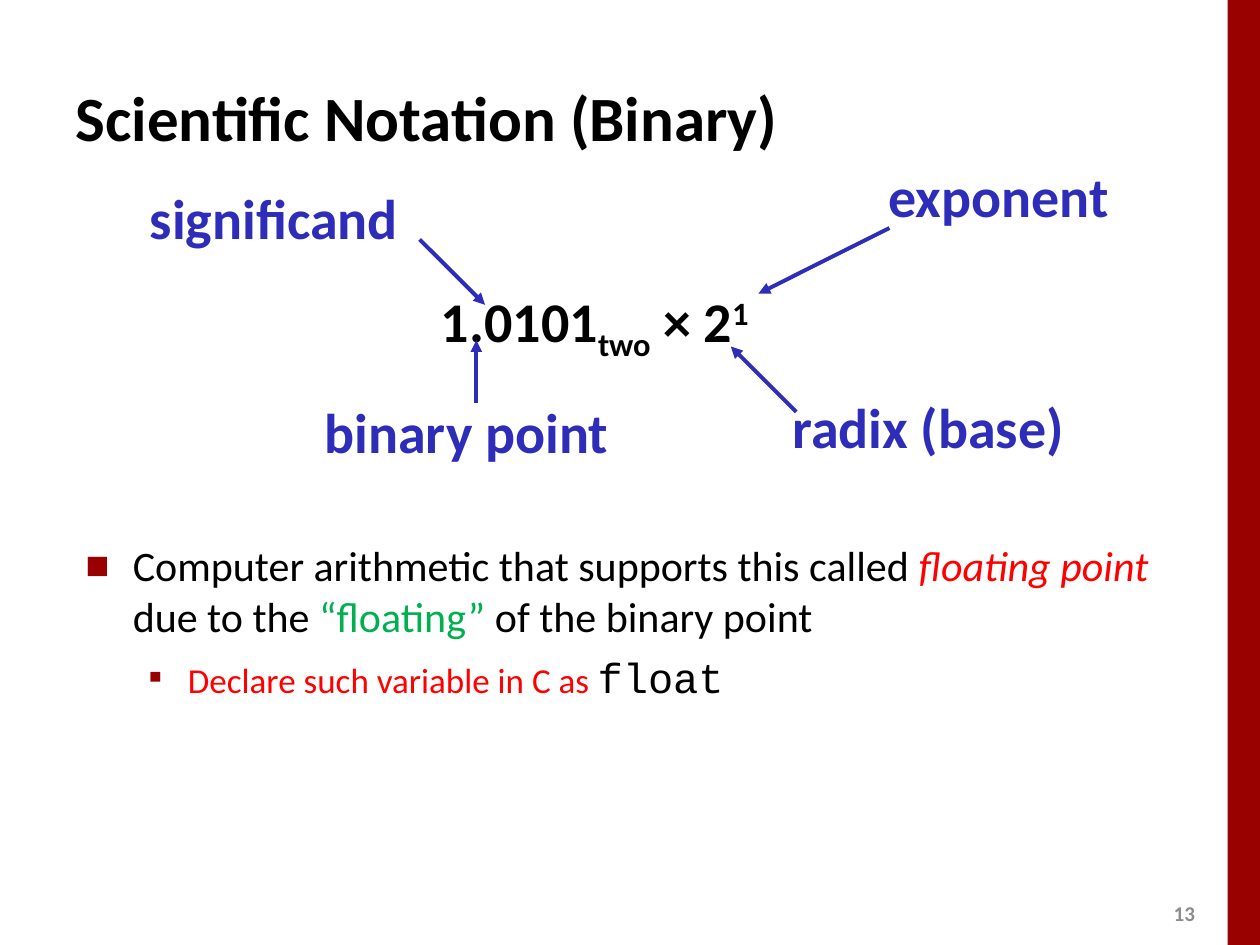
"""Build the slide on binary scientific notation."""
from pptx import Presentation
from pptx.dml.color import RGBColor
from pptx.enum.shapes import MSO_CONNECTOR, MSO_SHAPE
from pptx.enum.text import MSO_ANCHOR, PP_ALIGN
from pptx.oxml.ns import qn
from pptx.util import Pt
from lxml.etree import SubElement

BLACK, RED, GREEN = "000000", "FF0000", "00B050"
BLUE, DARK_RED, GRAY = "2D2DB9", "990000", "8C8C8C"


def rgb(value):
    return RGBColor.from_string(value)


def add_text(paragraph, text, size=24, color=BLACK, font="Calibri", bold=False, italic=False, baseline=0):
    run = paragraph.add_run()
    run.text = text
    run.font.size = Pt(size)
    run.font.name = font
    run.font.bold = bold
    run.font.italic = italic
    run.font.color.rgb = rgb(color)
    if baseline:
        run.font._element.set("baseline", str(baseline * 1000))


class SlideBuilder:
    def __init__(self, presentation):
        self.slide = presentation.slides.add_slide(presentation.slide_layouts[5])
        self.accent = BLUE
        self.label_size = 32

    def title(self, text, left, top, width, height):
        shape = self.slide.shapes.title
        shape.left, shape.top, shape.width, shape.height = map(Pt, (left, top, width, height))
        shape.text_frame.vertical_anchor = MSO_ANCHOR.MIDDLE
        paragraph = shape.text_frame.paragraphs[0]
        paragraph.alignment = PP_ALIGN.LEFT
        add_text(paragraph, text, size=36, bold=True)

    def bar(self, left, top, width, height):
        shape = self.slide.shapes.add_shape(MSO_SHAPE.RECTANGLE, *map(Pt, (left, top, width, height)))
        shape.shadow.inherit = False
        shape.fill.solid()
        shape.fill.fore_color.rgb = rgb(DARK_RED)
        shape.line.fill.background()

    def text_box(self, left, top, width, height):
        frame = self.slide.shapes.add_textbox(*map(Pt, (left, top, width, height))).text_frame
        frame.word_wrap = True
        return frame

    def label(self, parts, left, top, width, color=BLUE, align=PP_ALIGN.LEFT):
        frame = self.text_box(left, top, width, 37.5)
        frame.margin_left = frame.margin_right = Pt(5)
        frame.margin_top = frame.margin_bottom = Pt(2.5)
        paragraph = frame.paragraphs[0]
        paragraph.alignment = align
        paragraph.line_spacing = 0.85
        for text, baseline in parts:
            add_text(paragraph, text, size=self.label_size, color=color, bold=True, baseline=baseline)

    def arrow(self, tip, tail):
        connector = self.slide.shapes.add_connector(MSO_CONNECTOR.STRAIGHT, *map(Pt, tip + tail))
        connector.line.color.rgb = rgb(self.accent)
        connector.line.width = Pt(2.25)
        SubElement(connector.line._get_or_add_ln(), qn("a:headEnd"), type="triangle")
        SubElement(connector._element.spPr, qn("a:effectLst"))

    def bullet(self, paragraph, parts, character, percent, margin, hanging, level=0):
        paragraph.level = level
        properties = paragraph._p.get_or_add_pPr()
        properties.set("marL", str(Pt(margin)))
        properties.set("indent", str(-Pt(hanging)))
        color = SubElement(properties, qn("a:buClr"))
        SubElement(color, qn("a:srgbClr"), val=DARK_RED)
        SubElement(properties, qn("a:buSzPct"), val=str(percent * 1000))
        SubElement(properties, qn("a:buFont"), typeface="Calibri")
        SubElement(properties, qn("a:buChar"), char=character)
        for text, style in parts:
            add_text(paragraph, text, **style)

    def page_number(self, text, left, top, width, height):
        frame = self.text_box(left, top, width, height)
        frame.vertical_anchor = MSO_ANCHOR.MIDDLE
        frame.paragraphs[0].alignment = PP_ALIGN.CENTER
        add_text(frame.paragraphs[0], text, size=12, color=GRAY, bold=True)


def main():
    presentation = Presentation()
    presentation.slide_width, presentation.slide_height = Pt(720), Pt(540)
    builder = SlideBuilder(presentation)
    builder.bar(701.5, 0, 18.5, 540)
    builder.page_number("13", 662.4, 511.2, 28.8, 21.6)
    builder.title("Scientific Notation (Binary)", 36, 21.6, 648, 90)

    frame = builder.text_box(41.8, 305, 648, 177)
    builder.bullet(frame.paragraphs[0], [
        ("Computer arithmetic that supports this called ", {}),
        ("floating point ", {"color": RED, "italic": True}),
        ("due to the ", {}),
        ("“floating” ", {"color": GREEN}),
        ("of the binary point", {}),
    ], "■", 60, 27, 27)
    detail = frame.add_paragraph()
    detail.space_before = Pt(6)
    builder.bullet(detail, [
        ("Declare such variable in C as ", {"size": 20, "color": RED}),
        ("float", {"font": "Courier New"}),
    ], "▪", 110, 58.5, 22.5, level=1)

    builder.label([("1.0101", 0), ("two", -25), (" × 2", 0), ("1", 30)], 247, 163.5, 222, color=BLACK)
    builder.label([("radix (base)", 0)], 447.8, 227.5, 187)
    builder.label([("binary point", 0)], 172.8, 230.4, 180, align=PP_ALIGN.RIGHT)
    builder.label([("exponent", 0)], 502.5, 95.8, 150)
    builder.label([("significand", 0)], 80.6, 108, 187)

    for tip, tail in [
        ((417.6, 198), (455, 235.4)),
        ((272.2, 194.4), (272.2, 230.4)),
        ((277.2, 174.2), (239.8, 136.8)),
        ((433.4, 167.8), (508.3, 130.3)),
    ]:
        builder.arrow(tip, tail)

    presentation.save("out.pptx")


if __name__ == "__main__":
    main()
